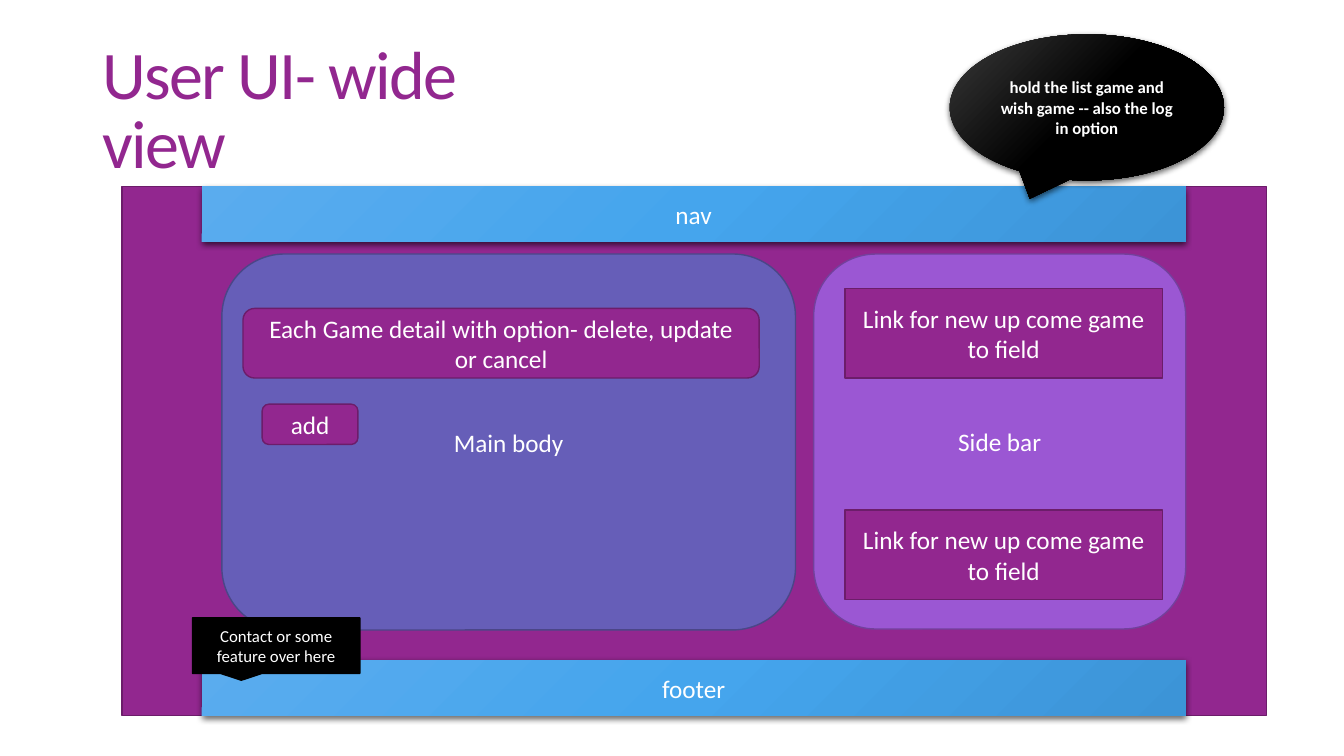
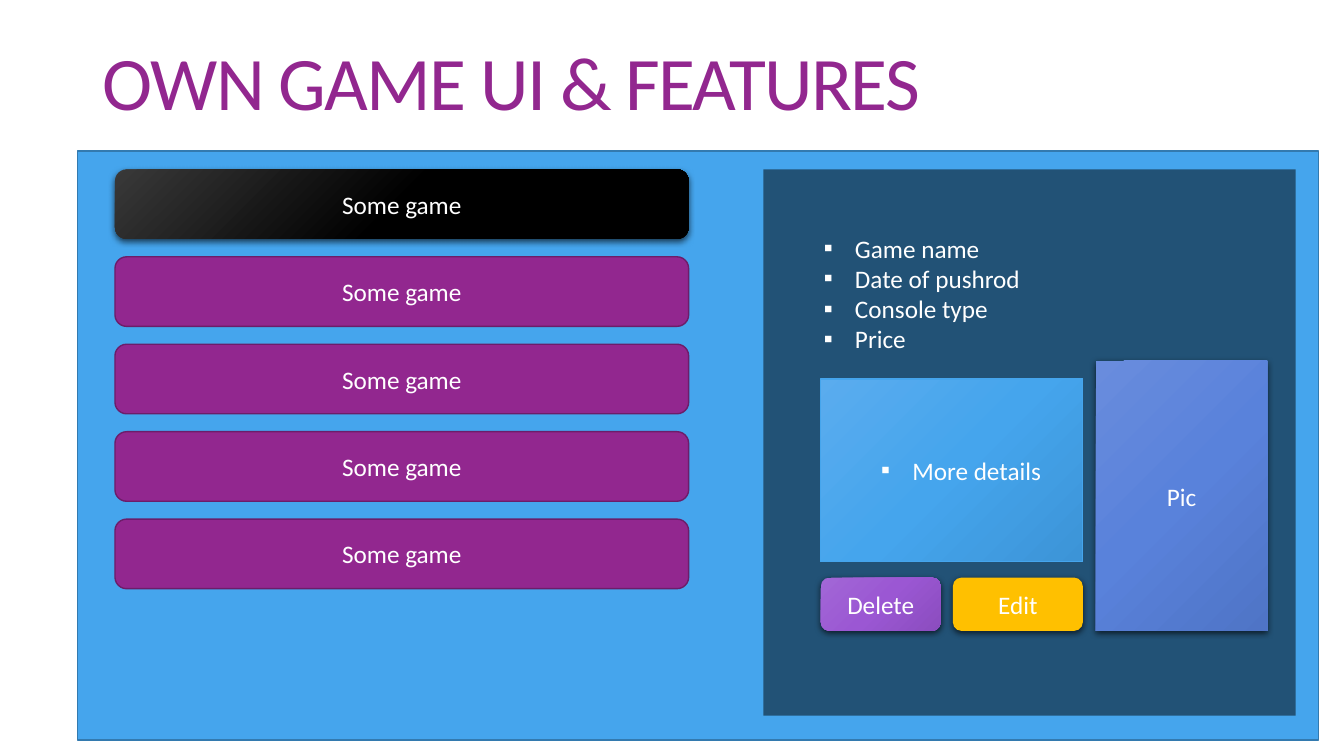
import lxml.etree
import pptx
import pptx.dml.color
import pptx.enum.shapes
import pptx.enum.text
import pptx.oxml
import pptx.oxml.ns
import pptx.util

Inches = pptx.util.Inches
Pt = pptx.util.Pt
KIND = pptx.enum.shapes.MSO_SHAPE
ALIGN = pptx.enum.text.PP_ALIGN
ANCHOR = pptx.enum.text.MSO_ANCHOR
qn = pptx.oxml.ns.qn

# Theme: colours, type sizes and box styles
THEME = {
    "font": "Calibri",
    "title_color": "92278F",
    "text_color": "FFFFFF",
    "sizes": {"title": 54, "long_title": 48.6, "label": 18, "note": 12},
    "title_spacing": -1.2,
    "shadow": {"color": "000000", "opacity": 63, "blur": 4.5, "distance": 1.5},
    "styles": {
        "purple": {"fill": "92278F", "line": ("6C1D6A", 1)},
        "indigo": {"fill": "665EB8", "line": ("4B4688", 1)},
        "violet": {"fill": "9B57D3", "line": ("73409C", 1)},
        "blue": {"fill": "45A5ED", "line": ("337AAF", 1)},
        "black": {"fill": "000000", "line": ("000000", 1)},
        "amber": {"fill": "FFC000", "shadow": True},
        "shade": {"fill": "000000", "opacity": 50},
        "blue_band": {"gradient": ("5AACEE", "45A5ED", "3C94D7"), "shadow": True},
        "blue_card": {"gradient": ("5AACEE", "45A5ED", "3C94D7"), "line": ("45A5ED", 0.75)},
        "black_gloss": {"gradient": ("393939", "000000", "000000"), "shadow": True},
        "violet_gloss": {"gradient": ("A267D6", "9B57D3", "8B4DBF"), "shadow": True},
        "periwinkle": {"gradient": ("698CDD", "5982DB", "4F74C6"), "shadow": True},
    },
}
BULLET = {"char": "▪", "left": 0.81, "hanging": 0.31}

# Content of the wide view: kind, box, style, text, text format
BAND_LEFT, BAND_WIDTH, BAND_HEIGHT = 2, 9.76, 0.55
PAGE = (1.21, 1.85, 11.35, 5.25)
FOOTER_TOP = PAGE[1] + PAGE[3] - BAND_HEIGHT
NOTE = {"size": "note"}
BOLD_NOTE = {"size": "note", "bold": True}
LINK_TEXT = "Link for new up come game to field"
WIDE_VIEW = [
    (KIND.RECTANGLE, PAGE, "purple", "", {}),
    (KIND.RECTANGLE, (BAND_LEFT, PAGE[1], BAND_WIDTH, BAND_HEIGHT), "blue_band", "nav", {}),
    (KIND.RECTANGLE, (BAND_LEFT, FOOTER_TOP, BAND_WIDTH, BAND_HEIGHT), "blue_band", "footer", {}),
    (KIND.ROUNDED_RECTANGLE, (2.2, 2.52, 5.69, 3.73), "indigo", "Main body", {}),
    (KIND.OVAL_CALLOUT, (9.42, 0.34, 2.72, 1.45), "black_gloss",
     "hold the list game and wish game -- also the log in option", BOLD_NOTE),
    (KIND.ROUNDED_RECTANGLE, (2.41, 3.06, 5.12, 0.69), "purple",
     "Each Game detail with option- delete, update or cancel", {}),
    (KIND.ROUNDED_RECTANGLE, (2.6, 4.01, 0.95, 0.4), "purple", "add", {}),
    (KIND.ROUNDED_RECTANGLE, (8.07, 2.52, 3.69, 3.72), "violet", "Side bar", {}),
    *[(KIND.RECTANGLE, (8.38, top, 3.15, 0.89), "purple", LINK_TEXT, {})
      for top in (2.86, 5.06)],
    (KIND.RECTANGULAR_CALLOUT, (1.91, 6.13, 1.66, 0.55), "black",
     "Contact or some feature over here", NOTE),
]

# Content of the game list and its detail panel
GAMES = ["Some game"] * 5
FIRST_GAME_TOP, LAST_GAME_TOP = 1.68, 5.15
GAME_PITCH = (LAST_GAME_TOP - FIRST_GAME_TOP) / (len(GAMES) - 1)
GAME_LIST = [(KIND.RECTANGLE, (0.77, 1.5, 12.31, 5.84), "blue", "", {})] + [
    (KIND.FLOWCHART_ALTERNATE_PROCESS,
     (1.14, FIRST_GAME_TOP + index * GAME_PITCH, 5.69, 0.69),
     "purple" if index else "black_gloss", game, {})
    for index, game in enumerate(GAMES)
]
DETAIL_PANEL = (7.57, 1.68, 5.28, 5.42)
DETAIL_TOP_INSET = 0.63
DETAILS = ["Game name", "Date of pushrod", "Console type", "Price"]
DETAIL_BOXES = [
    (KIND.RECTANGLE, (10.87, 3.58, 1.7, 2.68), "periwinkle", "Pic", {}),
    (KIND.RECTANGLE, (8.14, 3.76, 2.6, 1.81), "blue_card", "More details", {"bullet": True}),
    (KIND.ROUNDED_RECTANGLE, (8.14, 5.73, 1.19, 0.53), "violet_gloss", "Delete", {}),
    (KIND.ROUNDED_RECTANGLE, (9.45, 5.73, 1.29, 0.53), "amber", "Edit", {}),
]


def rgb(color):
    return pptx.dml.color.RGBColor.from_string(color)


def set_all(target, values):
    for name, value in values.items():
        setattr(target, name, value)


def place(shape, box):
    lengths = [Inches(length) for length in box]
    set_all(shape, dict(zip(("left", "top", "width", "height"), lengths)))


def add_child(parent, tag, **attributes):
    child = lxml.etree.SubElement(parent, qn(tag))
    for name, value in attributes.items():
        child.set(name, str(value))
    return child


def set_gradient(shape, colors):
    shape.fill.background()
    empty_fill = shape._element.spPr.find(qn("a:noFill"))
    gradient = pptx.oxml.parse_xml(
        f'<a:gradFill {pptx.oxml.ns.nsdecls("a")} rotWithShape="1"/>')
    stops = add_child(gradient, "a:gsLst")
    for index, color in enumerate(colors):
        stop = add_child(stops, "a:gs", pos=index * 50000)
        add_child(stop, "a:srgbClr", val=color)
    add_child(gradient, "a:lin", ang=45 * 60000, scaled=0)
    empty_fill.getparent().replace(empty_fill, gradient)


def set_shadow(shape):
    shadow = THEME["shadow"]
    effects = shape._element.spPr.find(qn("a:effectLst"))
    outer = add_child(effects, "a:outerShdw", blurRad=Pt(shadow["blur"]),
                      dist=Pt(shadow["distance"]), dir=90 * 60000,
                      algn="ctr", rotWithShape=0)
    color = add_child(outer, "a:srgbClr", val=shadow["color"])
    add_child(color, "a:alpha", val=shadow["opacity"] * 1000)


def apply_style(shape, name):
    style = THEME["styles"][name]
    shape.shadow.inherit = False
    if "gradient" in style:
        set_gradient(shape, style["gradient"])
    else:
        shape.fill.solid()
        shape.fill.fore_color.rgb = rgb(style["fill"])
    if "opacity" in style:
        color = shape._element.spPr.find(qn("a:solidFill")).find(qn("a:srgbClr"))
        add_child(color, "a:alpha", val=style["opacity"] * 1000)
    if "line" in style:
        color, width = style["line"]
        shape.line.color.rgb = rgb(color)
        shape.line.width = Pt(width)
    else:
        shape.line.fill.background()
    if style.get("shadow"):
        set_shadow(shape)


def set_bullet(paragraph):
    properties = paragraph._p.get_or_add_pPr()
    properties.set("marL", str(Inches(BULLET["left"])))
    properties.set("indent", str(-Inches(BULLET["hanging"])))
    add_child(properties, "a:buFont", typeface=THEME["font"])
    add_child(properties, "a:buChar", char=BULLET["char"])


def write(frame, lines, size="label", color="text_color", bold=False, bullet=False,
          align=ALIGN.CENTER, anchor=ANCHOR.MIDDLE, line_spacing=1.0):
    set_all(frame, {"word_wrap": True, "vertical_anchor": anchor,
                    "auto_size": pptx.enum.text.MSO_AUTO_SIZE.NONE})
    for index, line in enumerate(lines):
        paragraph = frame.add_paragraph() if index else frame.paragraphs[0]
        set_all(paragraph, {"alignment": ALIGN.LEFT if bullet else align,
                            "line_spacing": line_spacing, "space_before": Pt(0)})
        if bullet:
            set_bullet(paragraph)
        run = paragraph.add_run()
        run.text = line
        set_all(run.font, {"name": THEME["font"], "bold": bold,
                           "size": Pt(THEME["sizes"][size])})
        run.font.color.rgb = rgb(THEME[color])


def add_title(slide, text, box, size):
    title = slide.shapes.title
    place(title, box)
    write(title.text_frame, [text], size=size, color="title_color",
          align=ALIGN.LEFT, line_spacing=0.85)
    run = title.text_frame.paragraphs[0].runs[0]
    run._r.get_or_add_rPr().set("spc", str(round(THEME["title_spacing"] * 100)))


def add_boxes(slide, boxes):
    for kind, box, style, text, text_format in boxes:
        shape = slide.shapes.add_shape(kind, *[Inches(length) for length in box])
        apply_style(shape, style)
        if text:
            write(shape.text_frame, [text], **text_format)


def add_detail_panel(slide):
    panel = slide.placeholders[1]
    # Bring the list in front of the shapes drawn so far
    slide.shapes._spTree.append(panel._element)
    place(panel, DETAIL_PANEL)
    apply_style(panel, "shade")
    panel.text_frame.margin_top = Inches(DETAIL_TOP_INSET)
    write(panel.text_frame, DETAILS, bullet=True, anchor=ANCHOR.TOP)


def main():
    presentation = pptx.Presentation()
    set_all(presentation, {"slide_width": Inches(13.33), "slide_height": Inches(7.5)})
    content_layout, title_layout = (presentation.slide_layouts[i] for i in (1, 5))

    # Wide view of the user interface
    slide = presentation.slides.add_slide(title_layout)
    add_title(slide, "User UI- wide view", (0.92, 0.4, 4.83, 1.45), "long_title")
    add_boxes(slide, WIDE_VIEW)

    # Game list with details
    slide = presentation.slides.add_slide(content_layout)
    add_title(slide, "OWN GAME UI & FEATURES", (0.92, 0.4, 11.5, 0.93), "title")
    add_boxes(slide, GAME_LIST)
    add_detail_panel(slide)
    add_boxes(slide, DETAIL_BOXES)

    presentation.save("out.pptx")


if __name__ == "__main__":
    main()
